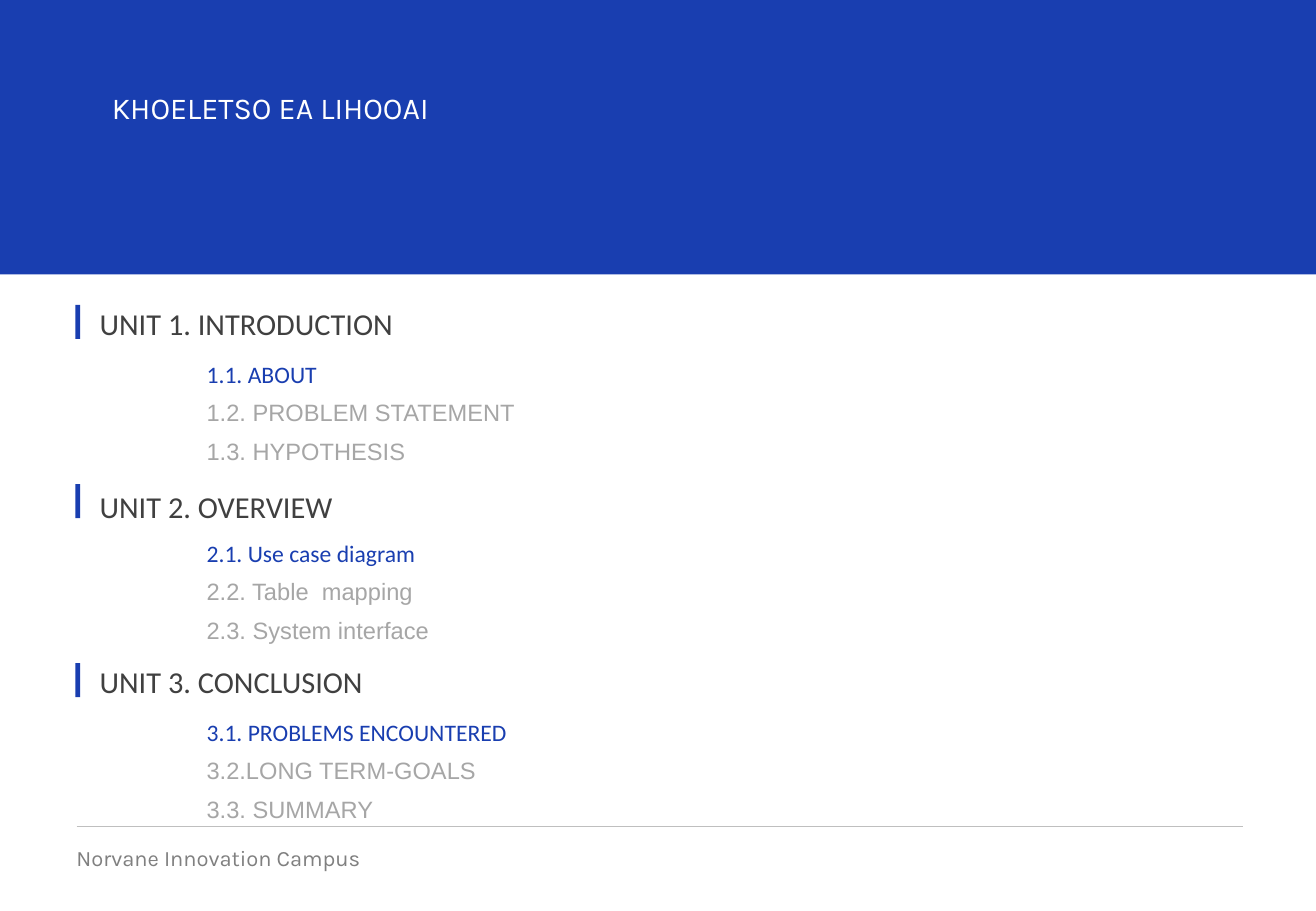
"""Build a contents slide with three units under a blue title band."""
from pptx import Presentation
from pptx.dml.color import RGBColor
from pptx.enum.shapes import MSO_CONNECTOR as Link, MSO_SHAPE as Shape
from pptx.enum.text import MSO_ANCHOR as Anchor, MSO_AUTO_SIZE as Size, PP_ALIGN as Align
from pptx.oxml.ns import qn
from pptx.util import Inches, Pt

BLUE, DARK, GRAY = "193EB0", "404040", "A6A6A6"
TITLE = "KHOELETSO EA LIHOOAI"
FOOTER = "Norvane Innovation Campus"
UNITS = [
    ("UNIT 1. INTRODUCTION", 0,
     ["1.1. ABOUT", "1.2. PROBLEM STATEMENT", "1.3. HYPOTHESIS"]),
    ("UNIT 2. OVERVIEW", 0.03,
     ["2.1. Use case diagram", "2.2. Table  mapping", "2.3. System interface"]),
    ("UNIT 3. CONCLUSION", 0,
     ["3.1. PROBLEMS ENCOUNTERED", "3.2.LONG TERM-GOALS", "3.3. SUMMARY"]),
]
WIDTH, TOP, STEP = 10.83, 2.51, 1.475


def color(code):
    return RGBColor.from_string(code)


def place(shape, *box):
    shape.left, shape.top, shape.width, shape.height = map(Inches, box)


def write(shape, rows, size, after=0, inset=0, anchor=Anchor.TOP):
    frame = shape.text_frame
    frame.word_wrap = True
    frame.auto_size = Size.NONE
    frame.vertical_anchor = anchor
    frame.margin_left = frame.margin_right = Inches(inset)
    frame.margin_top = frame.margin_bottom = Inches(inset / 2)
    for i, (text, face, code) in enumerate(rows):
        para = frame.add_paragraph() if i else frame.paragraphs[0]
        props = para._p.get_or_add_pPr()
        props.set("marL", "0")
        props.set("indent", "0")
        props.append(props.makeelement(qn("a:buNone"), {}))
        para.alignment = Align.LEFT
        para.line_spacing = 1.0
        para.space_before, para.space_after = Pt(0), Pt(after)
        run = para.add_run()
        run.text = text
        font = run.font
        font.name, font.size, font.bold = face, Pt(size), False
        font.color.rgb = color(code)


def block(slide, *box):
    shape = slide.shapes.add_shape(Shape.RECTANGLE, *map(Inches, box))
    shape.shadow.inherit = False
    shape.fill.solid()
    shape.fill.fore_color.rgb = color(BLUE)
    shape.line.fill.background()
    return shape


def label(slide, box, row, size, **style):
    write(slide.shapes.add_textbox(*map(Inches, box)), [row], size, **style)


def rule(slide, left, right, top):
    ends = map(Inches, (left, top, right, top))
    line = slide.shapes.add_connector(Link.STRAIGHT, *ends)
    line.line.color.rgb = color("BFBFBF")
    line.line.width = Pt(0.5)
    props = line._element.spPr
    props.append(props.makeelement(qn("a:effectLst"), {}))


def main():
    deck = Presentation()
    deck.slide_width, deck.slide_height = Inches(WIDTH), Inches(7.5)
    slide = deck.slides.add_slide(deck.slide_layouts.get_by_name("Comparison"))
    title, *lists = slide.placeholders

    band = block(slide, 0, 0, WIDTH, 2.26)
    slide.shapes._spTree.insert(2, band._element)
    place(title, 0.82, 0.68, 5.57, 0.71)
    write(title, [(TITLE, "Karla", "FFFFFF")], 18, inset=0.1)

    for i, (head, drop, items) in enumerate(UNITS):
        top = TOP + i * STEP
        block(slide, 0.62, top, 0.04, 0.28)
        label(slide, (0.82, top + drop, 4.59, 0.3), (head, "Calibri", DARK), 18,
              after=6, anchor=Anchor.MIDDLE)
        place(lists[i], 1.7, top + 0.45, 3.72, 0.88)
        first, *rest = items
        rows = [(first, "Calibri", BLUE)] + [(text, "Arial", GRAY) for text in rest]
        write(lists[i], rows, 14, after=6)
    for spare in lists[len(UNITS):]:
        spare._element.getparent().remove(spare._element)

    rule(slide, 0.63, 10.23, 6.8)
    label(slide, (0.63, 6.95, 3.16, 0.22), (FOOTER, "Karla", "808080"), 13)
    deck.save("out.pptx")


if __name__ == "__main__":
    main()
